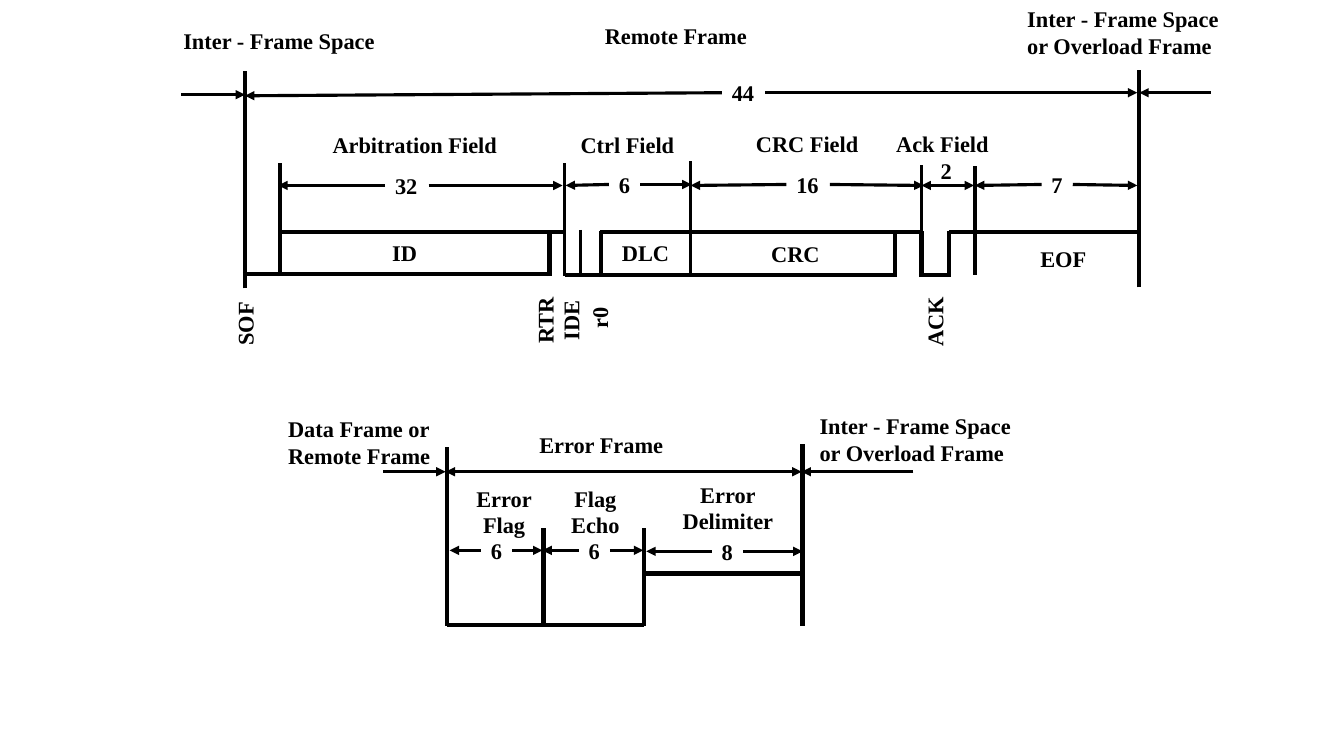
from lxml.etree import SubElement
from pptx import Presentation
from pptx.dml.color import RGBColor
from pptx.enum.shapes import MSO_CONNECTOR
from pptx.enum.text import MSO_AUTO_SIZE, PP_ALIGN
from pptx.oxml.ns import qn
from pptx.util import Emu, Pt

SCALE = 9144
SLIDE = (1333, 750)
COLORS = {"ink": "000000", "paper": "FFFFFF"}
FONT = "Times New Roman"
TEXT_SIZE = 16
THICK, THIN = 3, 2.25
LINE_H, FIRST_LINE_H, HALF_H = 27, 37, 18

THICK_LINES = [
    # remote frame
    (888, 275, 888, 229), (914, 275, 914, 229), (888, 230, 914, 230),
    (941, 275, 941, 229), (914, 273, 941, 273), (941, 230, 1130, 230),
    (243, 286, 243, 70), (1130, 285, 1130, 69), (278, 274, 278, 162),
    (596, 275, 596, 229), (545, 274, 545, 228), (278, 230, 560, 230),
    (595, 230, 888, 230), (241, 272, 547, 272), (560, 273, 888, 273),
    # error frame
    (443, 621, 443, 443), (639, 621, 639, 524), (443, 620, 639, 620),
    (539, 621, 539, 524), (639, 569, 796, 569), (796, 621, 796, 440),
]
THIN_LINES = [
    (576, 228, 576, 272), (560, 162, 560, 274), (685, 160, 685, 272),
    (914, 164, 914, 273), (967, 165, 967, 273),
]
ARROWS = [
    (1201, 92, 1130, 92), (180, 94, 243, 94),
    (906, 468, 795, 468), (380, 468, 442, 468),
]
DOUBLE_ARROWS = [(914, 184, 966, 184), (442, 468, 795, 468)]

# bit count, box left, top, width, left tip, right tip
DIMENSIONS = [
    ("44", 716, 74, 43, (243, 95), (1128, 92)),
    ("32", 382, 166, 43, (276, 184), (558, 184)),
    ("6", 604, 165, 31, (561, 184), (686, 183)),
    ("16", 780, 165, 43, (685, 184), (916, 184)),
    ("7", 1033, 165, 31, (967, 184), (1128, 184)),
    ("6", 477, 528, 31, (446, 546), (538, 546)),
    ("6", 574, 528, 31, (538, 546), (638, 546)),
    ("8", 706, 529, 31, (641, 547), (796, 547)),
]

# lines, left, top, width
LABELS = [
    (["2"], 923, 151, 31),
    (["EOF"], 1022, 238, 66),
    (["CRC"], 755, 233, 69),
    (["DLC"], 607, 232, 67),
    (["ID"], 379, 232, 45),
    (["Arbitration Field"], 320, 125, 186),
    (["Ctrl Field"], 566, 125, 115),
    (["CRC Field"], 740, 124, 123),
    (["Ack Field"], 879, 124, 113),
    (["Inter - Frame Space"], 172, 22, 213),
    (["Remote Frame"], 590, 17, 169),
    (["Inter - Frame Space", "or Overload Frame"], 1009, 0, 213),
    (["Inter - Frame Space", "or Overload Frame"], 803, 404, 213),
    (["Data Frame or", "Remote Frame"], 276, 407, 163),
    (["Error Frame"], 525, 423, 145),
]
CENTERED_LABELS = [
    (["Error", "Flag"], 462, 476, 76),
    (["Flag", "Echo"], 556, 476, 69),
    (["Error", "Delimiter"], 666, 472, 112),
]
VERTICAL_LABELS = [
    (["SOF"], 211, 302, 64),
    (["RTR"], 507, 299, 67),
    (["IDE"], 536, 299, 60),
    (["r0"], 574, 297, 41),
    (["ACK"], 892, 300, 70),
]


def px(n):
    return Emu(n * SCALE)


def add_line(s, ends, width, heads=()):
    line = s.shapes.add_connector(MSO_CONNECTOR.STRAIGHT, *map(px, ends))
    line.line.width = Pt(width)
    line.line.color.rgb = RGBColor.from_string(COLORS["ink"])
    ln = line.line._get_or_add_ln()
    for end in heads:
        SubElement(ln, qn("a:" + end), type="triangle")
    SubElement(line._element.spPr, qn("a:effectLst"))


def add_label(s, lines, left, top, width, align=PP_ALIGN.LEFT, rotation=0):
    height = FIRST_LINE_H + LINE_H * (len(lines) - 1)
    sp = s.shapes.add_textbox(px(left), px(top), px(width), px(height))
    sp.rotation = rotation
    tf = sp.text_frame
    tf.word_wrap = False
    tf.auto_size = MSO_AUTO_SIZE.SHAPE_TO_FIT_TEXT
    for i, text in enumerate(lines):
        p = tf.add_paragraph() if i else tf.paragraphs[0]
        p.alignment = align
        r = p.add_run()
        r.text = text
        r.font.name = FONT
        r.font.size = Pt(TEXT_SIZE)
        r.font.bold = True
        r.font.color.rgb = RGBColor.from_string(COLORS["ink"])


def add_dimension(s, count, left, top, width, left_tip, right_tip):
    y = top + HALF_H
    add_line(s, (left, y, *left_tip), THIN, ["tailEnd"])
    add_line(s, (left + width, y, *right_tip), THIN, ["tailEnd"])
    add_label(s, [count], left, top, width)


def main():
    prs = Presentation()
    prs.slide_width, prs.slide_height = map(px, SLIDE)
    s = prs.slides.add_slide(prs.slide_layouts[6])
    s.background.fill.solid()
    s.background.fill.fore_color.rgb = RGBColor.from_string(COLORS["paper"])

    for lines, width, heads in [
        (THICK_LINES, THICK, []),
        (THIN_LINES, THIN, []),
        (ARROWS, THIN, ["tailEnd"]),
        (DOUBLE_ARROWS, THIN, ["headEnd", "tailEnd"]),
    ]:
        for ends in lines:
            add_line(s, ends, width, heads)
    for dimension in DIMENSIONS:
        add_dimension(s, *dimension)
    for label in LABELS:
        add_label(s, *label)
    for label in CENTERED_LABELS:
        add_label(s, *label, align=PP_ALIGN.CENTER)
    for label in VERTICAL_LABELS:
        add_label(s, *label, rotation=270)

    prs.save("out.pptx")


if __name__ == "__main__":
    main()
